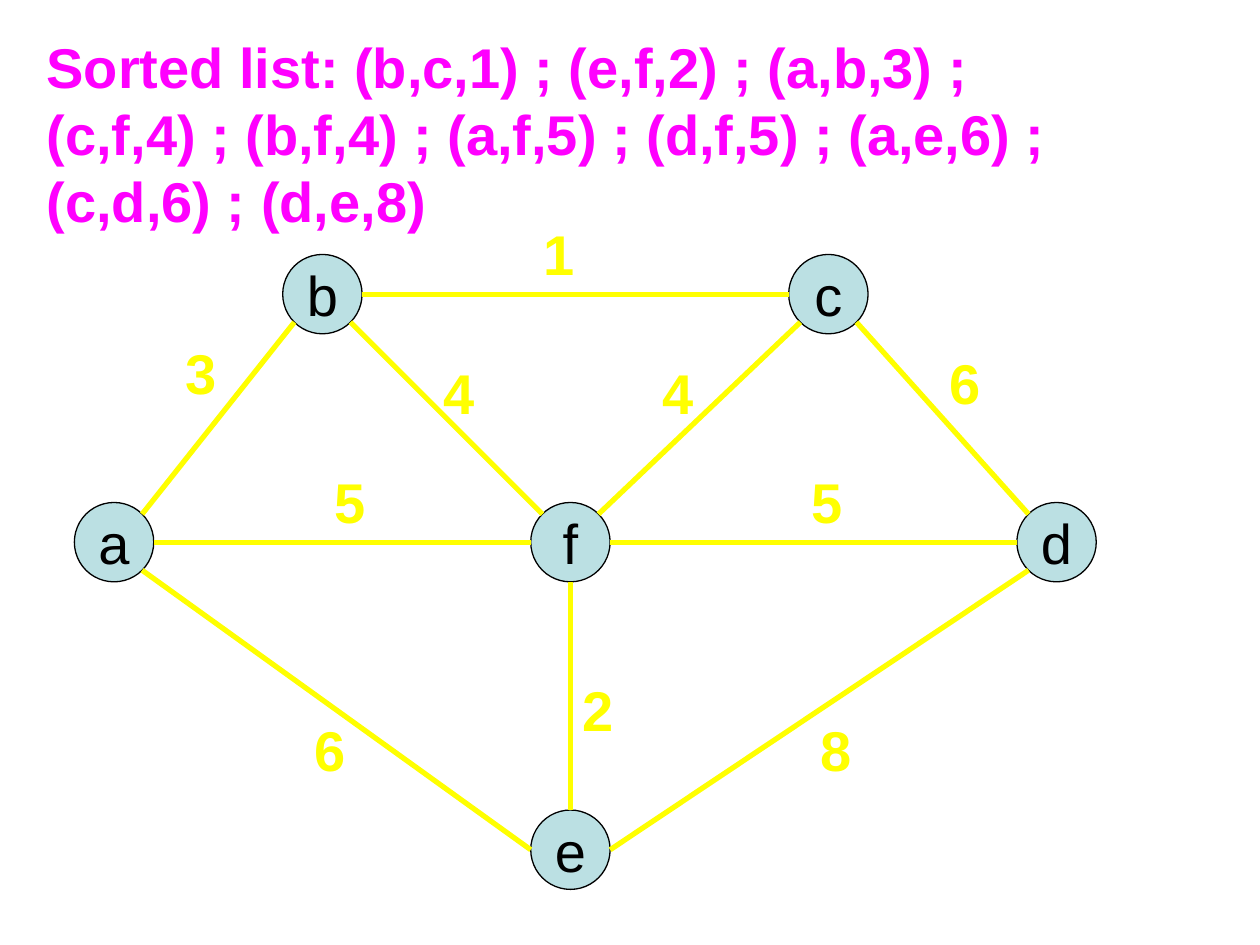
from dataclasses import dataclass
from math import sqrt

from lxml.etree import SubElement
from pptx import Presentation
from pptx.dml.color import RGBColor
from pptx.enum.shapes import MSO_CONNECTOR as Connector, MSO_SHAPE as Shape
from pptx.enum.text import MSO_ANCHOR as Anchor, MSO_AUTO_SIZE as AutoSize, PP_ALIGN as Align
from pptx.oxml.ns import qn
from pptx.util import Cm, Pt

DIAMETER = 1.6
BLACK, YELLOW, MAGENTA, PALE_BLUE = "000000", "FFFF00", "FF00FF", "BBE0E3"
DIAGONAL = sqrt(0.5)
COMPASS = {
    "N": (0, -1), "S": (0, 1), "W": (-1, 0), "E": (1, 0),
    "NW": (-DIAGONAL, -DIAGONAL), "NE": (DIAGONAL, -DIAGONAL),
    "SW": (-DIAGONAL, DIAGONAL), "SE": (DIAGONAL, DIAGONAL),
}


@dataclass
class Node:
    """A graph vertex, placed by its centre in centimetres."""
    name: str
    x: float
    y: float

    def rim(self, side: str) -> tuple[float, float]:
        dx, dy = COMPASS[side]
        return self.x + dx * DIAMETER / 2, self.y + dy * DIAMETER / 2


@dataclass
class Edge:
    """A weighted edge between rim points, with its label's corner."""
    start: str
    start_side: str
    end: str
    end_side: str
    weight: int
    label_left: float
    label_top: float


NODES = [
    Node("b", 6.5, 5.93), Node("c", 16.7, 5.93),
    Node("a", 2.3, 10.93), Node("d", 21.3, 10.93),
    Node("f", 11.5, 10.93), Node("e", 11.5, 17.13),
]
EDGES = [
    Edge("f", "NW", "b", "SE", 4, 8.7, 7.1),
    Edge("f", "NE", "c", "SW", 4, 13.1, 7.1),
    Edge("a", "NE", "b", "SW", 3, 3.5, 6.7),
    Edge("c", "W", "b", "E", 1, 10.7, 4.3),
    Edge("f", "E", "d", "W", 5, 16.1, 9.3),
    Edge("a", "E", "f", "W", 5, 6.5, 9.3),
    Edge("e", "E", "d", "SW", 8, 16.3, 14.3),
    Edge("e", "W", "a", "SE", 6, 6.1, 14.3),
    Edge("e", "N", "f", "S", 2, 11.5, 13.5),
    Edge("c", "SE", "d", "NW", 6, 18.9, 6.9),
]
SORTED_LIST = ("Sorted list: (b,c,1) ; (e,f,2) ; (a,b,3) ; (c,f,4) ; (b,f,4) ; "
               "(a,f,5) ; (d,f,5) ; (a,e,6) ; (c,d,6) ; (d,e,8)")


def color(value: str) -> RGBColor:
    return RGBColor.from_string(value)


def write(shape, text: str, text_color: str, bold: bool, wrap: bool, align=Align.LEFT) -> None:
    frame = shape.text_frame
    frame.word_wrap = wrap
    paragraph = frame.paragraphs[0]
    paragraph.text = text
    paragraph.alignment = align
    font = paragraph.font
    font.name, font.size, font.bold = "Arial", Pt(32), bold
    font.color.rgb = color(text_color)


def add_text(slide, text: str, left: float, top: float, width: float, height: float,
             text_color: str, wrap: bool = False) -> None:
    box = slide.shapes.add_textbox(Cm(left), Cm(top), Cm(width), Cm(height))
    write(box, text, text_color, True, wrap)
    box.text_frame.auto_size = AutoSize.SHAPE_TO_FIT_TEXT


def add_node(slide, node: Node) -> None:
    radius = DIAMETER / 2
    circle = slide.shapes.add_shape(Shape.OVAL, Cm(node.x - radius), Cm(node.y - radius),
                                    Cm(DIAMETER), Cm(DIAMETER))
    circle.shadow.inherit = False
    circle.fill.solid()
    circle.fill.fore_color.rgb = color(PALE_BLUE)
    circle.line.color.rgb = color(BLACK)
    circle.line.width = Pt(0.75)
    write(circle, node.name, BLACK, False, False, Align.CENTER)
    circle.text_frame.vertical_anchor = Anchor.MIDDLE


def add_edge(slide, edge: Edge, nodes: dict[str, Node]) -> None:
    start = nodes[edge.start].rim(edge.start_side)
    end = nodes[edge.end].rim(edge.end_side)
    line = slide.shapes.add_connector(Connector.STRAIGHT, *map(Cm, start + end))
    line.line.color.rgb = color(YELLOW)
    line.line.width = Pt(3)
    SubElement(line._element.spPr, qn("a:effectLst"))
    add_text(slide, str(edge.weight), edge.label_left, edge.label_top, 1.14, 1.63, YELLOW)


def main() -> None:
    presentation = Presentation()
    presentation.slide_width, presentation.slide_height = Cm(25.4), Cm(19.05)
    slide = presentation.slides.add_slide(presentation.slide_layouts[6])

    # Graph: vertices, then weighted edges
    for node in NODES:
        add_node(slide, node)
    nodes = {node.name: node for node in NODES}
    for edge in EDGES:
        add_edge(slide, edge, nodes)

    # Edges sorted by weight
    add_text(slide, SORTED_LIST, 0.69, 0.53, 22.4, 4.32, MAGENTA, wrap=True)

    presentation.save("out.pptx")


if __name__ == "__main__":
    main()
